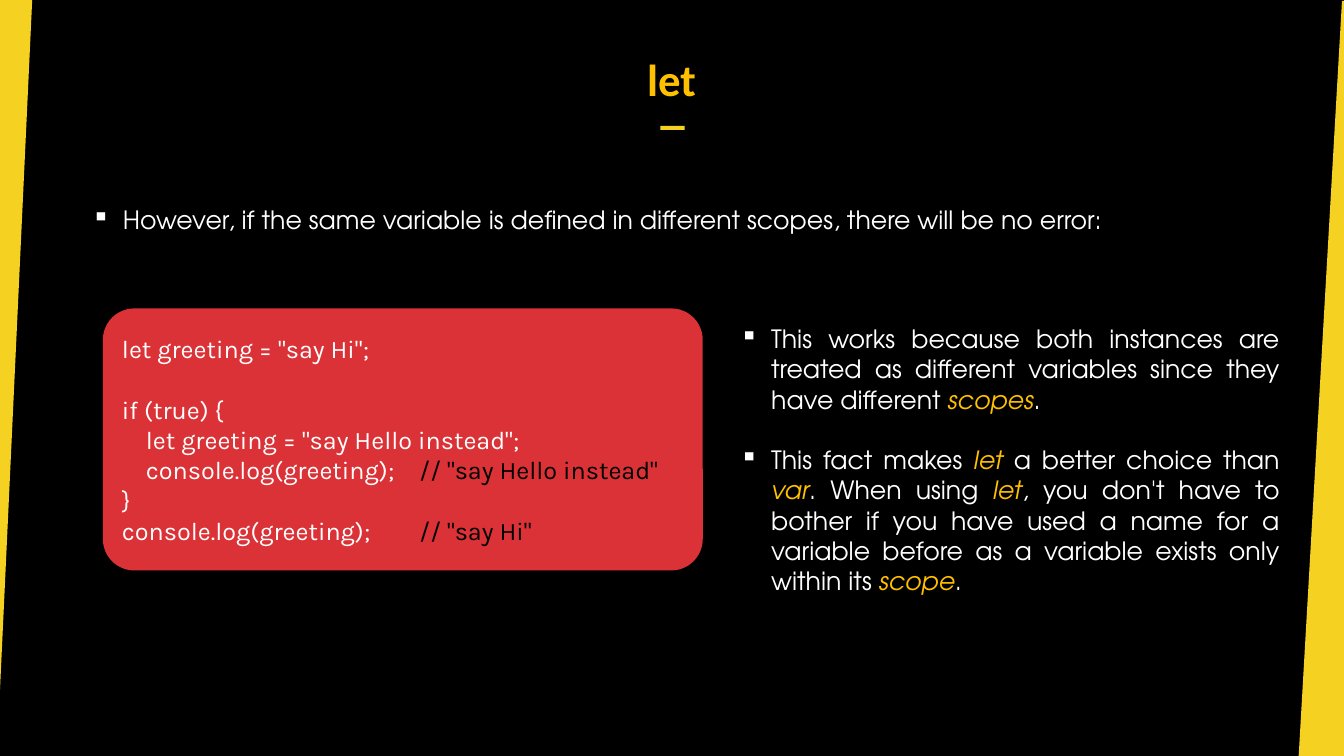
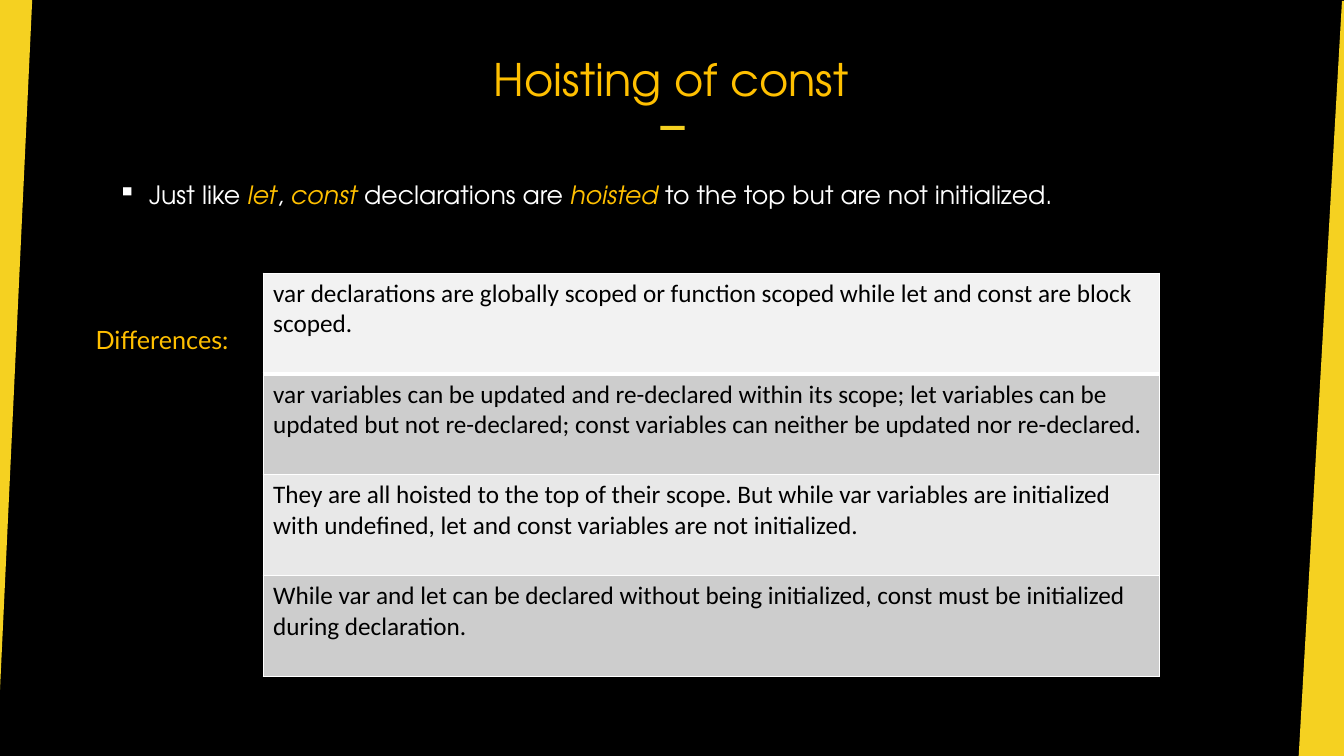
"""Build two slides on let and const in JavaScript."""
from dataclasses import dataclass, field
from typing import Optional

import lxml.etree
import pptx
import pptx.dml.color
import pptx.enum.shapes
import pptx.enum.text
import pptx.oxml.ns
import pptx.util

Inches = pptx.util.Inches
Pt = pptx.util.Pt
Color = pptx.dml.color.RGBColor
Align = pptx.enum.text.PP_ALIGN
Anchor = pptx.enum.text.MSO_ANCHOR
Shape = pptx.enum.shapes.MSO_SHAPE


@dataclass(frozen=True)
class Theme:
    back: str = "000000"
    band: str = "F5D121"
    gold: str = "FFC000"
    white: str = "FFFFFF"
    black: str = "000000"
    red: str = "DA3236"
    pale: str = "F2F2F2"
    dark: str = "CDCDCD"
    light: str = "E8E8E8"
    body: str = "TeX Gyre Adventor"
    code: str = "Karla"
    label: str = "Lato"
    plain: str = "Calibri"
    big: float = 32
    base: float = 18
    gap: float = 21.6
    indent: float = 0.31


LOOK = Theme()


@dataclass(frozen=True)
class Run:
    text: str
    color: str = LOOK.white
    font: str = LOOK.body
    size: float = LOOK.base
    bold: bool = False
    slant: bool = False


@dataclass(frozen=True)
class Para:
    runs: list[Run]
    align: Align = Align.LEFT
    gap: float = 0
    bullet: bool = False
    tab: Optional[float] = None


@dataclass(frozen=True)
class Box:
    left: float
    top: float
    width: float
    height: float

    def place(self) -> list[int]:
        return [Inches(n) for n in (self.left, self.top, self.width, self.height)]


@dataclass(frozen=True)
class Row:
    text: str
    fill: str
    edges: dict[str, float] = field(default_factory=dict)


BANDS = (
    ((-0.05, 0), (0.32, 0), (-0.03, 7.5), (-0.05, 7.5)),
    ((13.31, 0.01), (13.33, 0.01), (13.33, 7.51), (12.88, 7.51)),
)


def key(text: str) -> Run:
    return Run(text, LOOK.gold, slant=True)


def code(text: str, note: str = "", gap: float = 0) -> Para:
    runs = [Run(text, font=LOOK.code)]
    if note:
        runs += [Run("\t", font=LOOK.code), Run(note, LOOK.black, LOOK.code)]
    return Para(runs, gap=gap, tab=2.95 if note else None)


def add(parent, tag: str, **attrs: str):
    return lxml.etree.SubElement(parent, pptx.oxml.ns.qn(tag), attrs)


def write(frame, paras: list[Para]) -> None:
    for pos, para in enumerate(paras):
        line = frame.add_paragraph() if pos else frame.paragraphs[0]
        props = line._p.get_or_add_pPr()
        if para.bullet:
            props.set("marL", str(Inches(LOOK.indent)))
            props.set("indent", str(-Inches(LOOK.indent)))
            add(props, "a:buChar", char="▪")
        if para.tab:
            stops = add(props, "a:tabLst")
            add(stops, "a:tab", pos=str(Inches(para.tab)), algn="l")
        line.alignment = para.align
        line.space_before = Pt(para.gap)
        for item in para.runs:
            run = line.add_run()
            run.text = item.text
            run.font.name = item.font
            run.font.size = Pt(item.size)
            run.font.bold = item.bold
            run.font.italic = item.slant
            run.font.color.rgb = Color.from_string(item.color)


def paint(shape, color: str) -> None:
    shape.shadow.inherit = False
    shape.fill.solid()
    shape.fill.fore_color.rgb = Color.from_string(color)
    shape.line.fill.background()


def text(slide, box: Box, paras: list[Para], wrap: bool = True):
    frame = slide.shapes.add_textbox(*box.place()).text_frame
    frame.word_wrap = wrap
    write(frame, paras)
    return frame


def start(deck, title: Run):
    slide = deck.slides.add_slide(deck.slide_layouts[6])
    slide.background.fill.solid()
    slide.background.fill.fore_color.rgb = Color.from_string(LOOK.back)
    for band in BANDS:
        points = [(Inches(x), Inches(y)) for x, y in band]
        build = slide.shapes.build_freeform(*points[0])
        build.add_line_segments(points[1:], close=True)
        paint(build.convert_to_shape(), LOOK.band)
    dash = slide.shapes.add_shape(Shape.RECTANGLE, *Box(6.55, 1.25, 0.24, 0.04).place())
    paint(dash, LOOK.band)
    frame = text(slide, Box(4.75, 0.3, 3.82, 0.75), [Para([title], Align.CENTER)])
    frame.vertical_anchor = Anchor.BOTTOM
    frame.margin_top, frame.margin_bottom = Inches(0.04), 0
    return slide


def panel(slide, box: Box, lines: list[Para]) -> None:
    shape = slide.shapes.add_shape(Shape.ROUNDED_RECTANGLE, *box.place())
    shape.adjustments[0] = 0.12
    paint(shape, LOOK.red)
    shape.text_frame.word_wrap = True
    shape.text_frame.vertical_anchor = Anchor.MIDDLE
    write(shape.text_frame, lines)


def grid(slide, box: Box, rows: list[Row]) -> None:
    table = slide.shapes.add_table(len(rows), 1, *box.place()).table
    table.first_row = table.horz_banding = False
    for pos, row in enumerate(rows):
        cell = table.cell(pos, 0)
        props = cell._tc.get_or_add_tcPr()
        for side in "LRTB":
            edge = add(props, f"a:ln{side}", w=str(Pt(row.edges.get(side, 1))))
            add(add(edge, "a:solidFill"), "a:srgbClr", val=LOOK.white)
        cell.fill.solid()
        cell.fill.fore_color.rgb = Color.from_string(row.fill)
        write(cell.text_frame, [Para([Run(row.text, LOOK.black, LOOK.plain)])])


def scopes(deck) -> None:
    slide = start(deck, Run("let", LOOK.gold, LOOK.plain, LOOK.big, bold=True))
    panel(slide, Box(1.02, 3.06, 5.95, 2.6), [
        code('let greeting = "say Hi";'),
        code("if (true) {", gap=LOOK.gap),
        code('    let greeting = "say Hello instead";'),
        code("    console.log(greeting);", '// "say Hello instead"'),
        code("}"),
        code("console.log(greeting);", '// "say Hi"'),
    ])
    text(slide, Box(0.81, 1.98, 11.59, 0.4), [Para([
        Run("However, if the same variable is defined in different scopes, "
            "there will be no error:"),
    ], bullet=True)])
    text(slide, Box(7.24, 3.16, 5.55, 2.52), [
        Para([
            Run("This works because both instances are treated as different "
                "variables since they have different "),
            key("scopes"), Run("."),
        ], Align.JUSTIFY, bullet=True),
        Para([
            Run("This fact makes "), key("let"),
            Run(" a better choice than "), key("var"),
            Run(". When using "), key("let"),
            Run(", you don't have to bother if you have used a name for a "
                "variable before as a variable exists only within its "),
            key("scope"), Run("."),
        ], Align.JUSTIFY, LOOK.gap, bullet=True),
    ])


def hoist(deck) -> None:
    slide = start(deck, Run("Hoisting of const", LOOK.gold, size=LOOK.big))
    text(slide, Box(1.07, 1.73, 11.2, 0.4), [Para([
        Run("Just like "), key("let"), Run(", "), key("const"),
        Run(" declarations are "), key("hoisted"),
        Run(" to the top but are not initialized."),
    ], bullet=True)])
    text(slide, Box(0.85, 3.17, 1.54, 0.4),
         [Para([Run("Differences:", LOOK.gold, LOOK.label)])], wrap=False)
    grid(slide, Box(2.61, 2.71, 8.89, 4), [
        Row("var declarations are globally scoped or function scoped while let "
            "and const are block scoped.", LOOK.pale, {"B": 3}),
        Row("var variables can be updated and re-declared within its scope; let "
            "variables can be updated but not re-declared; const variables can "
            "neither be updated nor re-declared.", LOOK.dark, {"T": 3}),
        Row("They are all hoisted to the top of their scope. But while var "
            "variables are initialized with undefined, let and const variables "
            "are not initialized.", LOOK.light),
        Row("While var and let can be declared without being initialized, const "
            "must be initialized during declaration.", LOOK.dark),
    ])


def main() -> None:
    deck = pptx.Presentation()
    deck.slide_width, deck.slide_height = Inches(13.33), Inches(7.5)
    scopes(deck)
    hoist(deck)
    deck.save("out.pptx")


if __name__ == "__main__":
    main()
